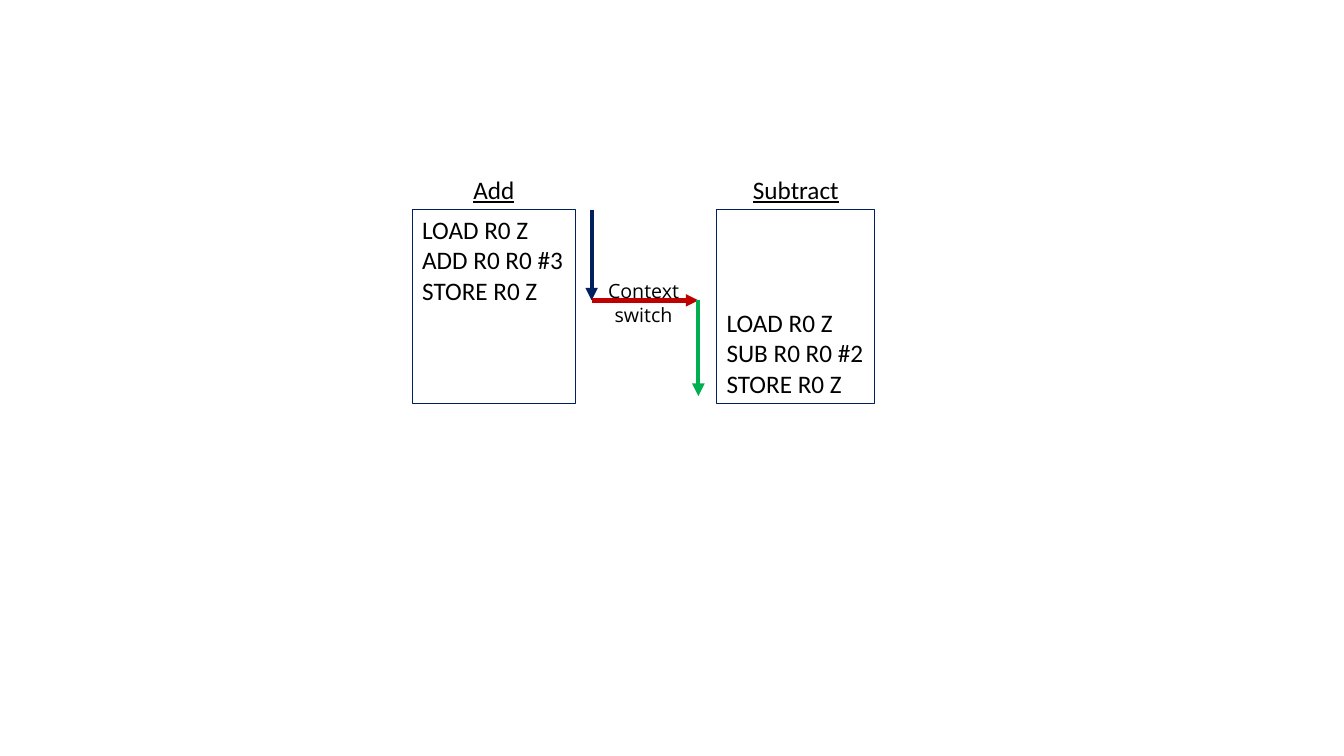
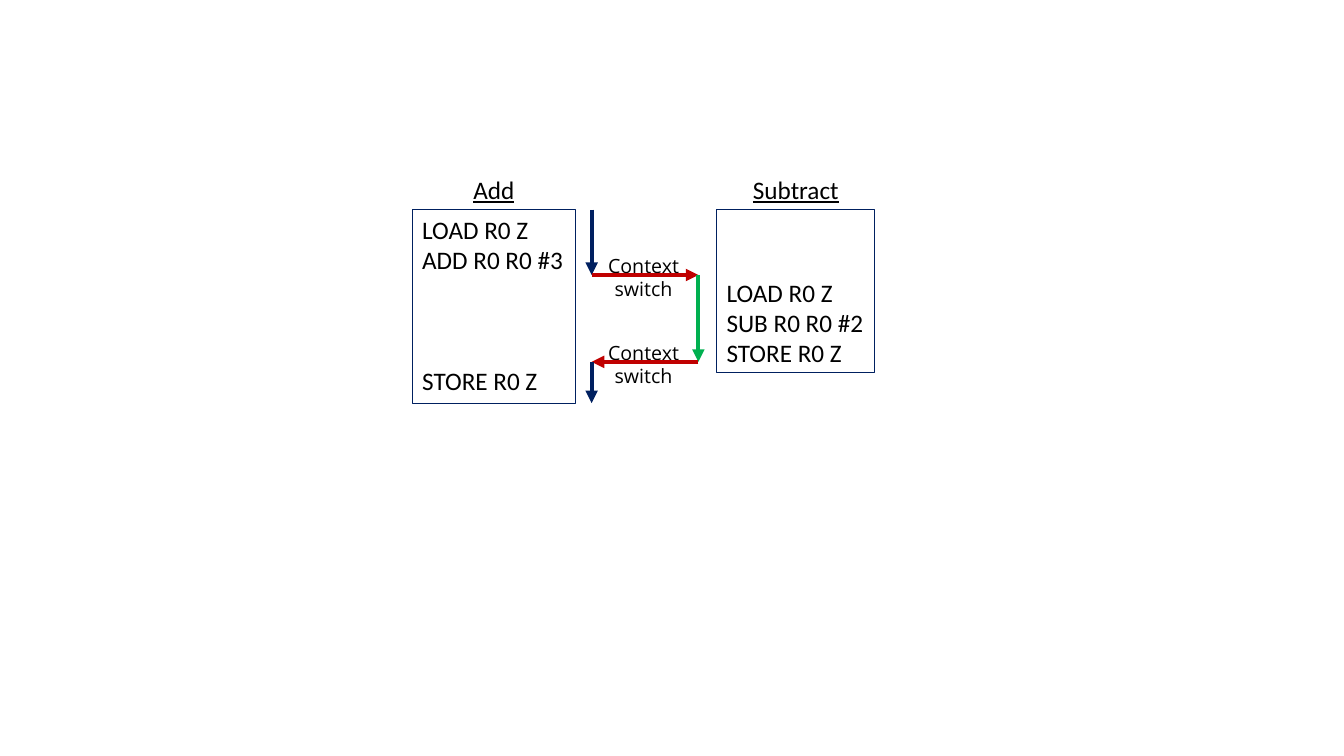
from lxml import etree
from pptx import Presentation
from pptx.dml.color import RGBColor
from pptx.enum import shapes, text
from pptx.oxml import ns
from pptx.util import Cm, Pt

# Shared style
NAVY = RGBColor(0x00, 0x20, 0x60)
RED = RGBColor(0xC0, 0x00, 0x00)
GREEN = RGBColor(0x00, 0xB0, 0x50)
BLACK = RGBColor(0x00, 0x00, 0x00)
CODE_FONT, LABEL_FONT = "Calibri", "Open Sans"
CODE_LINE = 21.6  # points from one code line to the next

# Shared layout, in centimetres
TOP = 5.28
HEADING_HEIGHT = 1.02
ADD_LEFT, ADD_WIDTH = 10.39, 4.11
SUBTRACT_LEFT, SUBTRACT_WIDTH = 18.06, 3.99
ADD_LANE, SUBTRACT_LANE = 14.91, 17.6
BOX_HEIGHT = 4.88

ADD_CODE = ["LOAD R0 Z", "ADD R0 R0 #3", "STORE R0 Z"]
SUBTRACT_CODE = ["LOAD R0 Z", "SUB R0 R0 #2", "STORE R0 Z"]


def write_lines(shape, lines, font, size, align, underline=False):
    """Write one paragraph per line and return the paragraphs."""
    frame = shape.text_frame
    frame.word_wrap = False
    for index, line in enumerate(lines):
        paragraph = frame.add_paragraph() if index else frame.paragraphs[0]
        paragraph.alignment = align
        run = paragraph.add_run()
        run.text = line
        run.font.name = font
        run.font.size = Pt(size)
        run.font.color.rgb = BLACK
        if underline:
            run.font.underline = True
    return frame.paragraphs


def add_text(slide, left, top, width, height, lines, font, size, underline=False):
    box = slide.shapes.add_textbox(Cm(left), Cm(top), Cm(width), Cm(height))
    write_lines(box, lines, font, size, text.PP_ALIGN.CENTER, underline)


def add_program(slide, heading, left, width, height, code, anchor):
    """Draw an underlined heading over a box of code."""
    shape = slide.shapes.add_shape(
        shapes.MSO_SHAPE.RECTANGLE, Cm(left), Cm(TOP), Cm(width), Cm(height))
    shape.shadow.inherit = False
    shape.fill.background()
    shape.line.color.rgb = NAVY
    shape.line.width = Pt(0.75)
    shape.text_frame.vertical_anchor = anchor
    paragraphs = write_lines(shape, code, CODE_FONT, 18, text.PP_ALIGN.LEFT)
    add_text(slide, left, TOP - HEADING_HEIGHT, width, HEADING_HEIGHT,
             [heading], CODE_FONT, 18, underline=True)
    return paragraphs


def add_programs(slide, subtract_height):
    """Draw both programs and return the paragraphs of the Add code."""
    add_code = add_program(slide, "Add", ADD_LEFT, ADD_WIDTH, BOX_HEIGHT,
                           ADD_CODE, text.MSO_ANCHOR.TOP)
    add_program(slide, "Subtract", SUBTRACT_LEFT, SUBTRACT_WIDTH, subtract_height,
                SUBTRACT_CODE, text.MSO_ANCHOR.BOTTOM)
    return add_code


def add_arrow(slide, start, end, color):
    (x1, y1), (x2, y2) = start, end
    arrow = slide.shapes.add_connector(
        shapes.MSO_CONNECTOR.STRAIGHT, Cm(x1), Cm(y1), Cm(x2), Cm(y2))
    arrow.line.color.rgb = color
    arrow.line.width = Pt(3)
    etree.SubElement(arrow.line._get_or_add_ln(), ns.qn("a:tailEnd"), type="triangle")
    etree.SubElement(arrow._element.spPr, ns.qn("a:effectLst"))


def add_run_arrow(slide, lane, start, end, color):
    """Show the time in which one program runs."""
    add_arrow(slide, (lane, start), (lane, end), color)


def add_switch_label(slide, time):
    add_text(slide, 14.99, time - 0.66, 2.46, 1.45,
             ["Context", "switch"], LABEL_FONT, 14)


def add_switch_arrow(slide, time, source, target):
    add_arrow(slide, (source, time), (target, time), RED)


def build_single_switch(slide):
    switch = 7.57
    add_programs(slide, BOX_HEIGHT)
    add_run_arrow(slide, ADD_LANE, TOP, switch, NAVY)
    add_switch_arrow(slide, switch, ADD_LANE, SUBTRACT_LANE)
    add_run_arrow(slide, SUBTRACT_LANE, switch, 9.98, GREEN)
    add_switch_label(slide, switch)


def build_double_switch(slide):
    first, second = 6.93, 9.12
    add_code = add_programs(slide, 4.11)
    # The last Add instruction waits for the three Subtract lines
    add_code[-1].space_before = Pt(len(SUBTRACT_CODE) * CODE_LINE)
    for time in (first, second):
        add_switch_label(slide, time)
    add_run_arrow(slide, ADD_LANE, TOP, first, NAVY)
    add_switch_arrow(slide, first, ADD_LANE, SUBTRACT_LANE)
    add_run_arrow(slide, SUBTRACT_LANE, first, second, GREEN)
    add_switch_arrow(slide, second, SUBTRACT_LANE, ADD_LANE)
    add_run_arrow(slide, ADD_LANE, second, TOP + BOX_HEIGHT, NAVY)


def main():
    presentation = Presentation()
    presentation.slide_width, presentation.slide_height = Cm(33.87), Cm(19.05)
    blank = presentation.slide_layouts[6]
    for build in (build_single_switch, build_double_switch):
        build(presentation.slides.add_slide(blank))
    presentation.save("out.pptx")


main()
